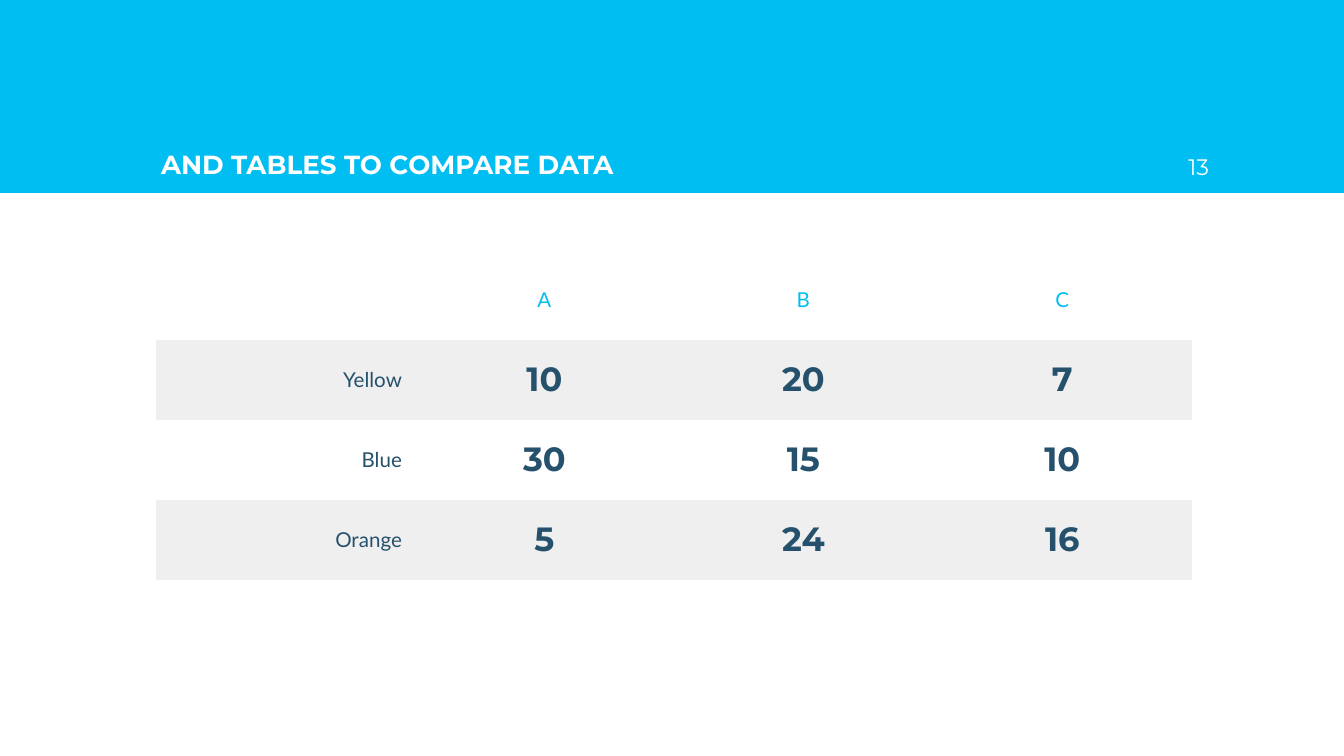
from pptx import Presentation
from pptx.dml.color import RGBColor
from pptx.enum.shapes import MSO_SHAPE as Preset
from pptx.enum.text import MSO_ANCHOR as Anchor, PP_ALIGN as Align
from pptx.oxml.ns import qn
from pptx.util import Emu, Pt

SCALE = 914400 / 134.4
NO_STYLE_NO_GRID = "{2D5ABB26-0587-4C30-8999-92F81FD0307C}"
CYAN, NAVY, GREY, WHITE = "00BEF2", "25516C", "EFEFEF", "FFFFFF"

TITLE = dict(name="Montserrat", size=Pt(14), bold=True, color=WHITE)
NUMBER = dict(name="Montserrat", size=Pt(12), bold=False, color=WHITE)
HEADER = dict(name="Lato", size=Pt(11), bold=False, color=CYAN)
LABEL = dict(HEADER, color=NAVY)
VALUE = dict(name="Montserrat", size=Pt(18), bold=True, color=NAVY)

ROWS = [
    ["", "A", "B", "C"],
    ["Yellow", "10", "20", "7"],
    ["Blue", "30", "15", "10"],
    ["Orange", "5", "24", "16"],
]


def px(length):
    """Turn picture pixels into EMU."""
    return Emu(round(length * SCALE))


def rgb(value):
    """Turn a hex string into a colour."""
    return RGBColor.from_string(value)


def set_all(target, values):
    """Set every attribute named in a dict."""
    for name, value in values.items():
        setattr(target, name, value)


class SlideBuilder:
    """Holds the current slide and the shared text style."""

    margins = dict.fromkeys(
        ("margin_left", "margin_top", "margin_right", "margin_bottom"), px(13))

    def __init__(self, page):
        """Keep the page to draw on."""
        self.page = page

    def add_span(self, para, text, style, align):
        """Put one formatted span into a paragraph."""
        para.alignment = align
        span = para.add_run()
        span.text = text
        set_all(span.font, {k: v for k, v in style.items() if k != "color"})
        span.font.color.rgb = rgb(style["color"])

    def fill_box(self, box, text, style, align):
        """Give a box bottom-anchored text."""
        frame = box.text_frame
        set_all(frame, dict(self.margins, word_wrap=True,
                            vertical_anchor=Anchor.BOTTOM))
        self.add_span(frame.paragraphs[0], text, style, align)

    def band(self, left, top, width, height, color):
        """Draw a plain rectangle behind everything else."""
        band = self.page.shapes.add_shape(
            Preset.RECTANGLE, *map(px, (left, top, width, height)))
        band.shadow.inherit = False
        band.fill.solid()
        band.fill.fore_color.rgb = rgb(color)
        band.line.fill.background()
        self.page.shapes.title.element.addprevious(band.element)

    def title(self, text, left, top, width, height):
        """Place and fill the title placeholder."""
        box = self.page.shapes.title
        set_all(box, dict(left=px(left), top=px(top),
                          width=px(width), height=px(height)))
        self.fill_box(box, text, TITLE, Align.LEFT)

    def text(self, text, left, top, width, height, style, align):
        """Add a text box."""
        box = self.page.shapes.add_textbox(
            *map(px, (left, top, width, height)))
        self.fill_box(box, text, style, align)

    def table(self, rows, left, top, column_width, row_height):
        """Add a table with every second row shaded."""
        count, columns = len(rows), len(rows[0])
        sizes = (left, top, column_width * columns, row_height * count)
        frame = self.page.shapes.add_table(count, columns, *map(px, sizes))
        table = frame.table
        set_all(table, dict(first_row=False, horz_banding=False))
        style_id = next(frame.element.iter(qn("a:tableStyleId")))
        style_id.text = NO_STYLE_NO_GRID
        for i, row in enumerate(rows):
            for j, text in enumerate(row):
                self.cell(table.cell(i, j), text, i, j)

    def cell(self, cell, text, row, column):
        """Fill one table cell by its place in the grid."""
        set_all(cell, dict(self.margins, margin_top=px(9),
                           margin_bottom=px(9), vertical_anchor=Anchor.MIDDLE))
        if row % 2:
            cell.fill.solid()
            cell.fill.fore_color.rgb = rgb(GREY)
        else:
            cell.fill.background()
        if text:
            style = HEADER if row == 0 else VALUE if column else LABEL
            align = Align.CENTER if column else Align.RIGHT
            self.add_span(cell.text_frame.paragraphs[0], text, style, align)


def main():
    """Build the slide and save it."""
    deck = Presentation()
    set_all(deck, dict(slide_width=px(1344), slide_height=px(756)))
    builder = SlideBuilder(deck.slides.add_slide(deck.slide_layouts[5]))
    builder.band(0, 0, 1344, 193, CYAN)
    builder.title("AND TABLES TO COMPARE DATA", 148, 95, 1048, 98)
    builder.table(ROWS, 156, 260, 259, 80)
    builder.text("13", 1141, 95, 81, 98, NUMBER, Align.RIGHT)
    deck.save("out.pptx")


main()
